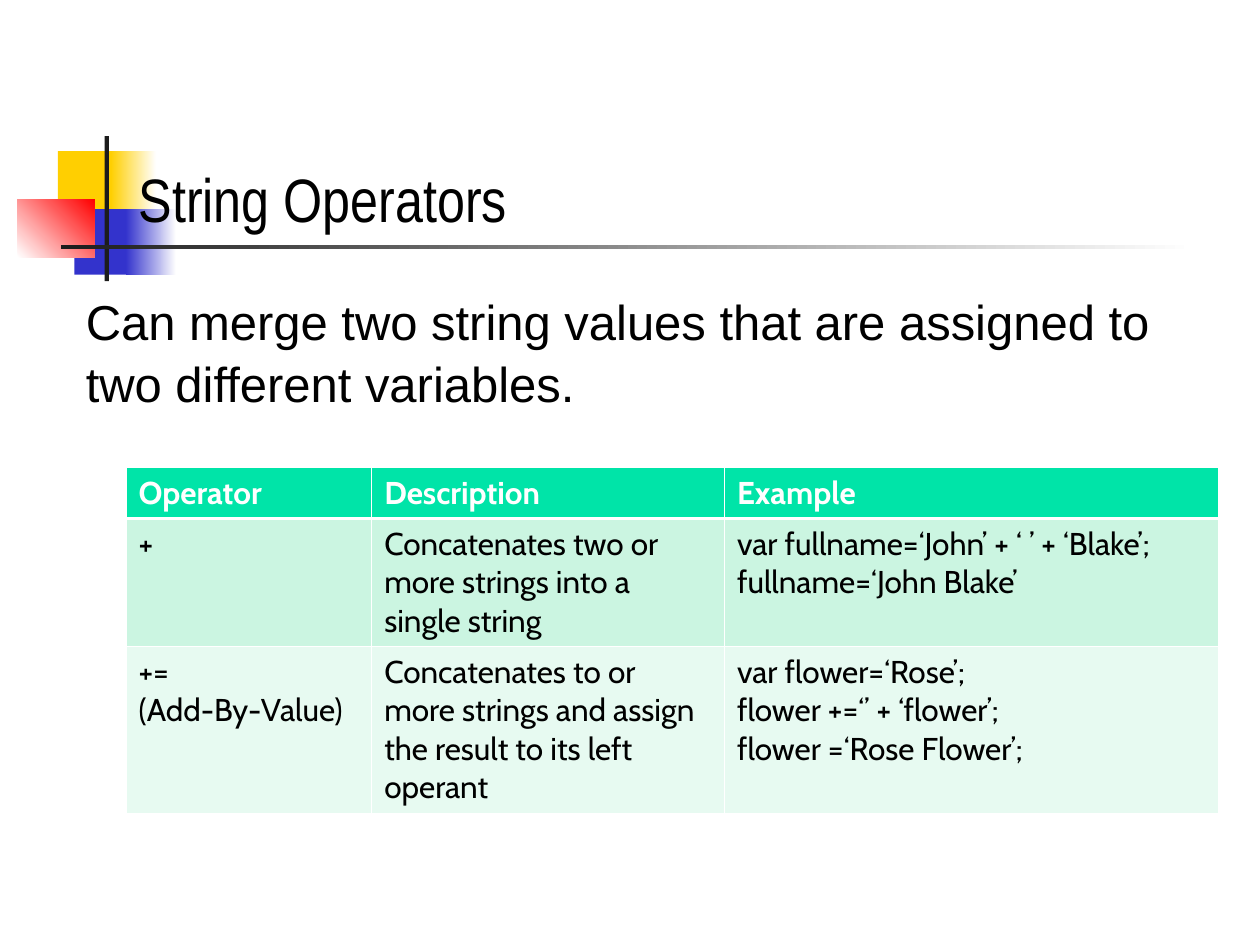
from lxml import etree
from pptx import Presentation
from pptx.dml.color import RGBColor
from pptx.enum.shapes import MSO_SHAPE
from pptx.enum.text import MSO_ANCHOR, MSO_AUTO_SIZE, PP_ALIGN
from pptx.oxml.ns import qn
from pptx.util import Pt

RECT = MSO_SHAPE.RECTANGLE
LEFT = PP_ALIGN.LEFT
TOP, MIDDLE = MSO_ANCHOR.TOP, MSO_ANCHOR.MIDDLE
FIXED = MSO_AUTO_SIZE.NONE

WHITE = RGBColor(0xFF, 0xFF, 0xFF)
BLACK = RGBColor(0x00, 0x00, 0x00)
GOLD = RGBColor(0xFF, 0xCF, 0x01)
BLUE = RGBColor(0x33, 0x33, 0xCC)
RED = RGBColor(0xFF, 0x00, 0x00)
DARK = RGBColor(0x1C, 0x1C, 0x1C)
GREEN = RGBColor(0x00, 0xE4, 0xA8)
MINT = RGBColor(0xCB, 0xF5, 0xE1)
PALE = RGBColor(0xE7, 0xFA, 0xF1)


def style(part, form):
    for name, value in form.items():
        setattr(part, name, value)


def border(cell, side, width):
    line = etree.SubElement(cell._tc.get_or_add_tcPr(), qn("a:" + side), w=str(Pt(width)))
    fill = etree.SubElement(line, qn("a:solidFill"))
    etree.SubElement(fill, qn("a:srgbClr"), val=str(WHITE))


deck = Presentation()
style(deck, {"slide_width": Pt(720), "slide_height": Pt(540)})
slide = deck.slides.add_slide(deck.slide_layouts[1])

blocks = [
    (33.1, 86.4, 34.6, 37.4, [GOLD], 0),
    (63.4, 86.4, 25.9, 37.4, [GOLD, WHITE], 0),
    (42.5, 119.5, 33.1, 37.4, [BLUE], 0),
    (72, 119.5, 28.8, 37.4, [BLUE, WHITE], 0),
    (10.1, 113.8, 43.9, 33.1, [WHITE, RED], 45),
    (59.8, 77.8, 2.5, 82.8, [DARK], 0),
    (34.6, 140.1, 648, 2.5, [DARK, WHITE], 0),
]
for x, y, w, h, tones, angle in blocks:
    block = slide.shapes.add_shape(RECT, Pt(x), Pt(y), Pt(w), Pt(h))
    block.shadow.inherit = False
    block.line.fill.background()
    if len(tones) == 1:
        block.fill.solid()
        block.fill.fore_color.rgb = tones[0]
    else:
        block.fill.gradient()
        block.fill.gradient_angle = angle
        for stop, tone in zip(block.fill.gradient_stops, tones):
            stop.color.rgb = tone

title, body = slide.shapes.title, slide.placeholders[1]
texts = [
    (title, "String Operators", (72, 87.8, 630, 50.4), MIDDLE, "Arial Narrow", 35, 1),
    (body, "Can merge two string values that are assigned to two different variables.",
     (41.8, 161.3, 653.8, 108), TOP, "Arial", 28, 1.05),
]
for holder, words, (x, y, w, h), anchor, face, size, pitch in texts:
    style(holder, {"left": Pt(x), "top": Pt(y), "width": Pt(w), "height": Pt(h)})
    frame = holder.text_frame
    frame.text = words
    style(frame, {"word_wrap": True, "auto_size": FIXED, "vertical_anchor": anchor})
    para = frame.paragraphs[0]
    style(para, {"alignment": LEFT, "space_before": Pt(0), "line_spacing": pitch})
    style(para.runs[0].font, {"name": face, "size": Pt(size)})
    para.runs[0].font.color.rgb = BLACK
    slide.shapes._spTree.append(holder._element)

props = body.text_frame.paragraphs[0]._p.get_or_add_pPr()
props.set("marL", "0")
props.set("indent", "0")
etree.SubElement(props, qn("a:buNone"))

rows = [
    ("Operator", "Description", "Example"),
    ("+", "Concatenates two or more strings into a single string",
     "var fullname=‘John’ + ‘ ’ + ‘Blake’;\nfullname=‘John Blake’"),
    ("+=\n(Add-By-Value)",
     "Concatenates to or more strings and assign the result to its left operant",
     "var flower=‘Rose’;\nflower +=‘’ + ‘flower’;\nflower =‘Rose Flower’;"),
]
table = slide.shapes.add_table(3, 3, Pt(72), Pt(267.1), Pt(624.2), Pt(194.4)).table
for col, width in zip(table.columns, (140.4, 201.6, 282.2)):
    col.width = Pt(width)
for row, height in zip(table.rows, (28.8, 72, 93.6)):
    row.height = Pt(height)

for r, (row, tone) in enumerate(zip(rows, (GREEN, MINT, PALE))):
    head = r == 0
    for c, words in enumerate(row):
        cell = table.cell(r, c)
        for side in ("lnL", "lnR", "lnT", "lnB"):
            thick = (r, side) in ((0, "lnB"), (1, "lnT"))
            border(cell, side, 1.47 if thick else 0.45)
        cell.fill.solid()
        cell.fill.fore_color.rgb = tone
        cell.text = words
        for para in cell.text_frame.paragraphs:
            font = para.runs[0].font
            style(font, {"name": "Cabin", "size": Pt(18), "bold": head})
            font.color.rgb = WHITE if head else BLACK

deck.save("out.pptx")
